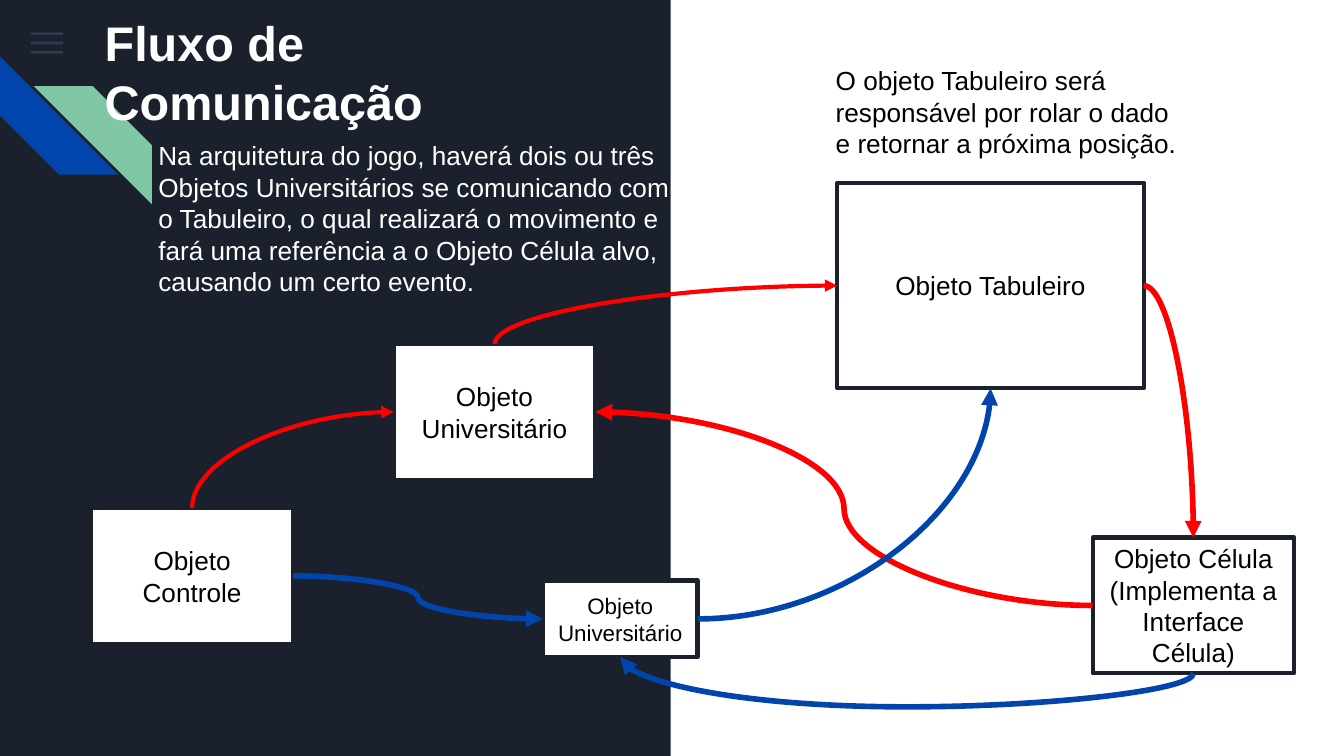
import pptx
import pptx.dml.color
import pptx.enum.shapes
import pptx.enum.text
import pptx.oxml.ns
import pptx.util
import lxml.etree

RGB = pptx.dml.color.RGBColor
SHAPE = pptx.enum.shapes.MSO_SHAPE
ALIGN = pptx.enum.text.PP_ALIGN
ANCHOR = pptx.enum.text.MSO_ANCHOR
qn = pptx.oxml.ns.qn

NAVY = RGB(0x1B, 0x21, 0x2C)
WHITE = RGB(0xFF, 0xFF, 0xFF)
BLACK = RGB(0x00, 0x00, 0x00)
SLATE = RGB(0x55, 0x68, 0x8B)
BLUE = RGB(0x01, 0x45, 0xAC)
GREEN = RGB(0x82, 0xC7, 0xA5)
RED = RGB(0xFF, 0x00, 0x00)

TOP, LEFT, BOTTOM, RIGHT = range(4)
COLUMNS, ROWS = 100, 56.25
CELL = pptx.util.Inches(0.1)


def child(parent, tag, **attributes):
    return lxml.etree.SubElement(parent, qn(tag), **attributes)


class FlowSlide:
    font_name = "Arial"
    text_size = 14
    outline = 2.25

    def __init__(self, presentation):
        presentation.slide_width = int(COLUMNS * CELL)
        presentation.slide_height = int(ROWS * CELL)
        self.slide = presentation.slides.add_slide(presentation.slide_layouts[6])
        background = self.slide.background.fill
        background.solid()
        background.fore_color.rgb = NAVY

    def place(self, *cells):
        return [int(cell * CELL) for cell in cells]

    def block(self, area, color, kind=SHAPE.RECTANGLE, alpha=None, rotation=0, flip=False):
        block = self.slide.shapes.add_shape(kind, *self.place(*area))
        block.shadow.inherit = False
        block.fill.solid()
        block.fill.fore_color.rgb = color
        block.line.fill.background()
        block.rotation = rotation
        if flip:
            block._element.spPr.find(qn("a:xfrm")).set("flipH", "1")
        if alpha:
            tint = block._element.spPr.find(qn("a:solidFill"))[0]
            child(tint, "a:alpha", val=str(alpha * 1000))
        return block

    def label(self, holder, paragraphs, color, size=None, bold=False,
              align=ALIGN.LEFT, anchor=ANCHOR.TOP):
        frame = holder.text_frame
        layout = {"word_wrap": True, "vertical_anchor": anchor}
        layout |= {f"margin_{side}": CELL for side in ("left", "top", "right", "bottom")}
        for key, value in layout.items():
            setattr(frame, key, value)
        frame.text = "\n".join(paragraphs)
        style = {"name": self.font_name, "size": pptx.util.Pt(size or self.text_size),
                 "bold": bold}
        for paragraph in frame.paragraphs:
            paragraph.alignment = align
            for run in paragraph.runs:
                for key, value in style.items():
                    setattr(run.font, key, value)
                run.font.color.rgb = color

    def text(self, area, words, color, **style):
        self.label(self.slide.shapes.add_textbox(*self.place(*area)), [words], color, **style)

    def node(self, area, *paragraphs, size=None):
        node = self.block(area, WHITE)
        node.line.color.rgb = NAVY
        node.line.width = pptx.util.Pt(self.outline)
        self.label(node, paragraphs, BLACK, size, align=ALIGN.CENTER, anchor=ANCHOR.MIDDLE)
        return node

    def curve(self, source, source_side, target, target_side, color, width=3,
              bends=2, rotation=0, flip=False, bulge=None):
        curve = self.slide.shapes.add_connector(
            pptx.enum.shapes.MSO_CONNECTOR.CURVE, 0, 0, 0, 0)
        curve.begin_connect(source, source_side)
        curve.end_connect(target, target_side)
        center_x = (curve.begin_x + curve.end_x) / 2
        center_y = (curve.begin_y + curve.end_y) / 2
        across = abs(curve.end_x - curve.begin_x)
        down = abs(curve.end_y - curve.begin_y)
        if rotation in (90, 270):
            across, down = down, across
        properties = curve._element.spPr
        frame = properties.find(qn("a:xfrm"))
        for key, value in {"rot": rotation * 60000, "flipH": int(flip), "flipV": 0}.items():
            frame.set(key, str(value))
        box = {"left": center_x - across / 2, "top": center_y - down / 2,
               "width": across, "height": down}
        for key, value in box.items():
            setattr(curve, key, int(value))
        geometry = properties.find(qn("a:prstGeom"))
        geometry.set("prst", f"curvedConnector{bends}")
        if bulge is not None:
            child(geometry.find(qn("a:avLst")), "a:gd", name="adj1",
                  fmla=f"val {int(bulge * 100000)}")
        curve.line.color.rgb = color
        curve.line.width = pptx.util.Pt(width)
        child(properties.find(qn("a:ln")), "a:tailEnd", type="triangle")
        child(properties, "a:effectLst")


def main():
    presentation = pptx.Presentation()
    flow = FlowSlide(presentation)

    flow.block((49.9, 0, 50.1, ROWS), WHITE)
    for bar in range(3):
        flow.block((2.3, 2.4 + 0.7 * bar, 2.4, 0.2), SLATE, alpha=36)
    flow.block((0, 4.2, 8.8, 8.8), BLUE, SHAPE.DIAGONAL_STRIPE, rotation=270)
    flow.block((2.5, 6.4, 8.8, 8.8), GREEN, SHAPE.DIAGONAL_STRIPE, flip=True)

    flow.text((6.8, 0, 28.9, 6.8), "Fluxo de Comunicação", WHITE, size=26, bold=True)
    flow.text((10.8, 9.4, 40.5, 13.8),
              "Na arquitetura do jogo, haverá dois ou três Objetos Universitários se "
              "comunicando com o Tabuleiro, o qual realizará o movimento e fará uma "
              "referência a o Objeto Célula alvo, causando um certo evento.", WHITE)
    flow.text((61.2, 3.8, 27.6, 9.1),
              "O objeto Tabuleiro será responsável por rolar o dado e retornar a "
              "próxima posição.", BLACK)

    student = flow.node((29.3, 25.6, 15, 10.1), "Objeto Universitário")
    control = flow.node((6.8, 37.8, 15, 10.1), "Objeto Controle")
    board = flow.node((62.3, 13.6, 22.8, 15.3), "Objeto Tabuleiro")
    cell = flow.node((81.3, 40, 15, 10.1), "Objeto Célula", "(Implementa a Interface Célula)")
    other_student = flow.node((40.4, 43.2, 11.5, 5.7), "Objeto Universitário", size=12)

    flow.curve(control, TOP, student, LEFT, RED, width=2.25, rotation=270)
    flow.curve(student, TOP, board, LEFT, RED, width=2.25, rotation=270)
    flow.curve(board, RIGHT, cell, TOP, RED)
    flow.curve(cell, LEFT, student, RIGHT, RED, bends=3, rotation=180, bulge=0.5)
    flow.curve(other_student, RIGHT, board, BOTTOM, BLUE, rotation=180, flip=True)
    flow.curve(control, RIGHT, other_student, LEFT, BLUE, bends=3, bulge=0.5)
    flow.curve(cell, BOTTOM, other_student, BOTTOM, BLUE, bends=3, rotation=90, flip=True,
               bulge=-2.08)

    presentation.save("out.pptx")


if __name__ == "__main__":
    main()
